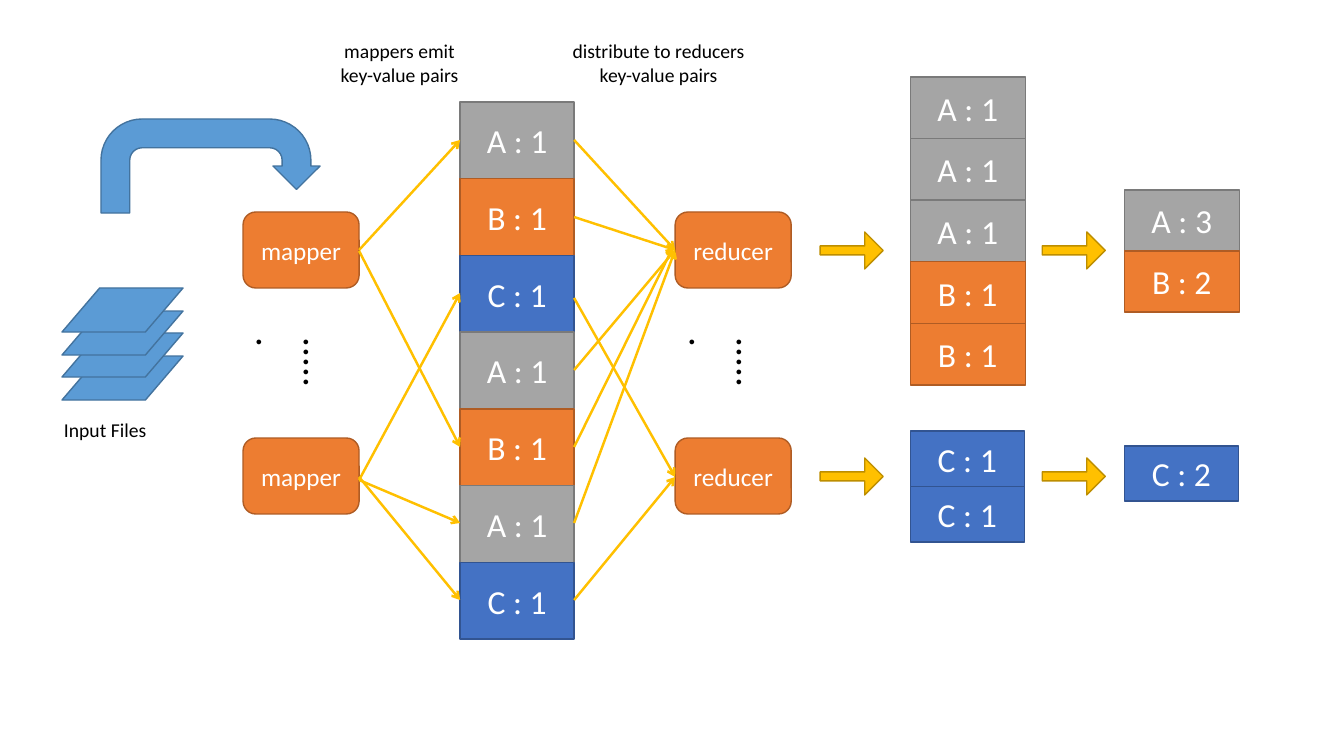
from pptx import Presentation
from pptx.dml.color import RGBColor
from pptx.enum.shapes import MSO_CONNECTOR, MSO_SHAPE
from pptx.enum.text import MSO_ANCHOR, MSO_AUTO_SIZE, PP_ALIGN
from pptx.oxml.ns import qn
from pptx.util import Emu, Inches, Pt
from lxml import etree

SCALE = 914400 / 100.8
FONT = "Calibri"
WHITE = RGBColor(0xFF, 0xFF, 0xFF)
BLACK = RGBColor(0x00, 0x00, 0x00)
GOLD = RGBColor(0xFF, 0xC0, 0x00)
# Each pair is fill, outline
SKY_PAIR = (RGBColor(0x5B, 0x9B, 0xD5), RGBColor(0x43, 0x73, 0x9E))
GRAY_PAIR = (RGBColor(0xA5, 0xA5, 0xA5), RGBColor(0x7A, 0x7A, 0x7A))
ORANGE_PAIR = (RGBColor(0xED, 0x7D, 0x31), RGBColor(0xAF, 0x5C, 0x24))
BLUE_PAIR = (RGBColor(0x44, 0x72, 0xC4), RGBColor(0x32, 0x54, 0x91))
GOLD_PAIR = (GOLD, RGBColor(0xBD, 0x8E, 0x00))
KEY_COLORS = {"A": GRAY_PAIR, "B": ORANGE_PAIR, "C": BLUE_PAIR}

PARALLELOGRAM = MSO_SHAPE.PARALLELOGRAM
ROUNDED = MSO_SHAPE.ROUNDED_RECTANGLE
RECTANGLE = MSO_SHAPE.RECTANGLE
RIGHT_ARROW = MSO_SHAPE.RIGHT_ARROW
U_TURN = MSO_SHAPE.U_TURN_ARROW
STRAIGHT = MSO_CONNECTOR.STRAIGHT
CENTER, LEFT = PP_ALIGN.CENTER, PP_ALIGN.LEFT
MIDDLE = MSO_ANCHOR.MIDDLE
GROW = MSO_AUTO_SIZE.SHAPE_TO_FIT_TEXT


def emu(*pixels):
    return [Emu(round(value * SCALE)) for value in pixels]


def add_block(parent, kind, box, colors, label="", size=18, adjustments=()):
    block = parent.add_shape(kind, *emu(*box))
    block.shadow.inherit = False
    block.fill.solid()
    block.fill.fore_color.rgb = colors[0]
    block.line.color.rgb = colors[1]
    block.line.width = Pt(1)
    for index, value in enumerate(adjustments):
        block.adjustments[index] = value
    if label:
        block.text_frame.text = label
        block.text_frame.vertical_anchor = MIDDLE
        paragraph = block.text_frame.paragraphs[0]
        paragraph.alignment = CENTER
        paragraph.font.name = FONT
        paragraph.font.size = Pt(size)
        paragraph.font.color.rgb = WHITE


deck = Presentation()
deck.slide_width, deck.slide_height = Inches(13.33), Inches(7.5)
slide = deck.slides.add_slide(deck.slide_layouts[6])
shapes = slide.shapes

# Input files, from the bottom sheet up
for top in (356, 333, 311, 288):
    add_block(shapes, PARALLELOGRAM, (62, top, 121, 44), SKY_PAIR,
              adjustments=[0.855])
add_block(shapes, U_TURN, (101, 119, 219, 94), SKY_PAIR,
          adjustments=[0.306, 0.25, 0.25, 0.438, 0.75])

# Mappers and reducers, with the arrows that follow the reducers
for top in (212, 438):
    add_block(shapes, ROUNDED, (243, top, 116, 76), ORANGE_PAIR, "mapper")
    add_block(shapes, ROUNDED, (675, top, 116, 76), ORANGE_PAIR, "reducer")
    for left in (820, 1042):
        add_block(shapes, RIGHT_ARROW, (left, top + 20, 63, 37), GOLD_PAIR,
                  adjustments=[0.244, 0.499])

# Stacks of key-value pairs: emitted, distributed, reduced
stacks = [
    ((460, 102, 114, 537), ["A : 1", "B : 1", "C : 1", "A : 1", "B : 1", "A : 1", "C : 1"]),
    ((910, 77, 115, 308), ["A : 1", "A : 1", "A : 1", "B : 1", "B : 1"]),
    ((910, 431, 114, 111), ["C : 1", "C : 1"]),
    ((1124, 190, 115, 122), ["A : 3", "B : 2"]),
    ((1124, 446, 114, 55), ["C : 2"]),
]
for (left, top, width, total), pairs in stacks:
    parent = shapes.add_group_shape().shapes if len(pairs) > 1 else shapes
    height = total / len(pairs)
    for row, pair in enumerate(pairs):
        add_block(parent, RECTANGLE, (left, top + row * height, width, height),
                  KEY_COLORS[pair[0]], pair, 24)

# Flows from mappers to pairs, then from pairs to reducers
flows = [
    (359, 250, 460, 140), (359, 251, 460, 447), (359, 480, 460, 523),
    (359, 477, 460, 600), (359, 480, 460, 293),
    (574, 140, 675, 250), (574, 217, 675, 250), (574, 370, 675, 250),
    (574, 298, 675, 477), (574, 600, 675, 477), (574, 447, 673, 247),
    (574, 523, 675, 250),
]
for ends in flows:
    flow = shapes.add_connector(STRAIGHT, *emu(*ends))
    flow.line.color.rgb = GOLD
    flow.line.width = Pt(1.75)
    etree.SubElement(flow.line._get_or_add_ln(), qn("a:tailEnd"), type="arrow")
    etree.SubElement(flow._element.spPr, qn("a:effectLst"))

# Captions and vertical dots
captions = [
    ((54, 413, 137, 34), "Input Files", 14, LEFT, "horz"),
    ((320, 34, 159, 57), "mappers emit\nkey-value pairs", 14, CENTER, "horz"),
    ((545, 34, 227, 57), "distribute to reducers\nkey-value pairs", 14, CENTER, "horz"),
    ((280, 328, 68, 73), "......", 28, LEFT, "eaVert"),
    ((713, 328, 68, 73), "......", 28, LEFT, "eaVert"),
]
for box, wording, size, alignment, direction in captions:
    frame = shapes.add_textbox(*emu(*box)).text_frame
    frame.word_wrap = True
    frame.auto_size = GROW
    frame.text = wording
    frame._txBody.bodyPr.set("vert", direction)
    for paragraph in frame.paragraphs:
        paragraph.alignment = alignment
        paragraph.font.name = FONT
        paragraph.font.size = Pt(size)
        paragraph.font.color.rgb = BLACK

deck.save("out.pptx")
